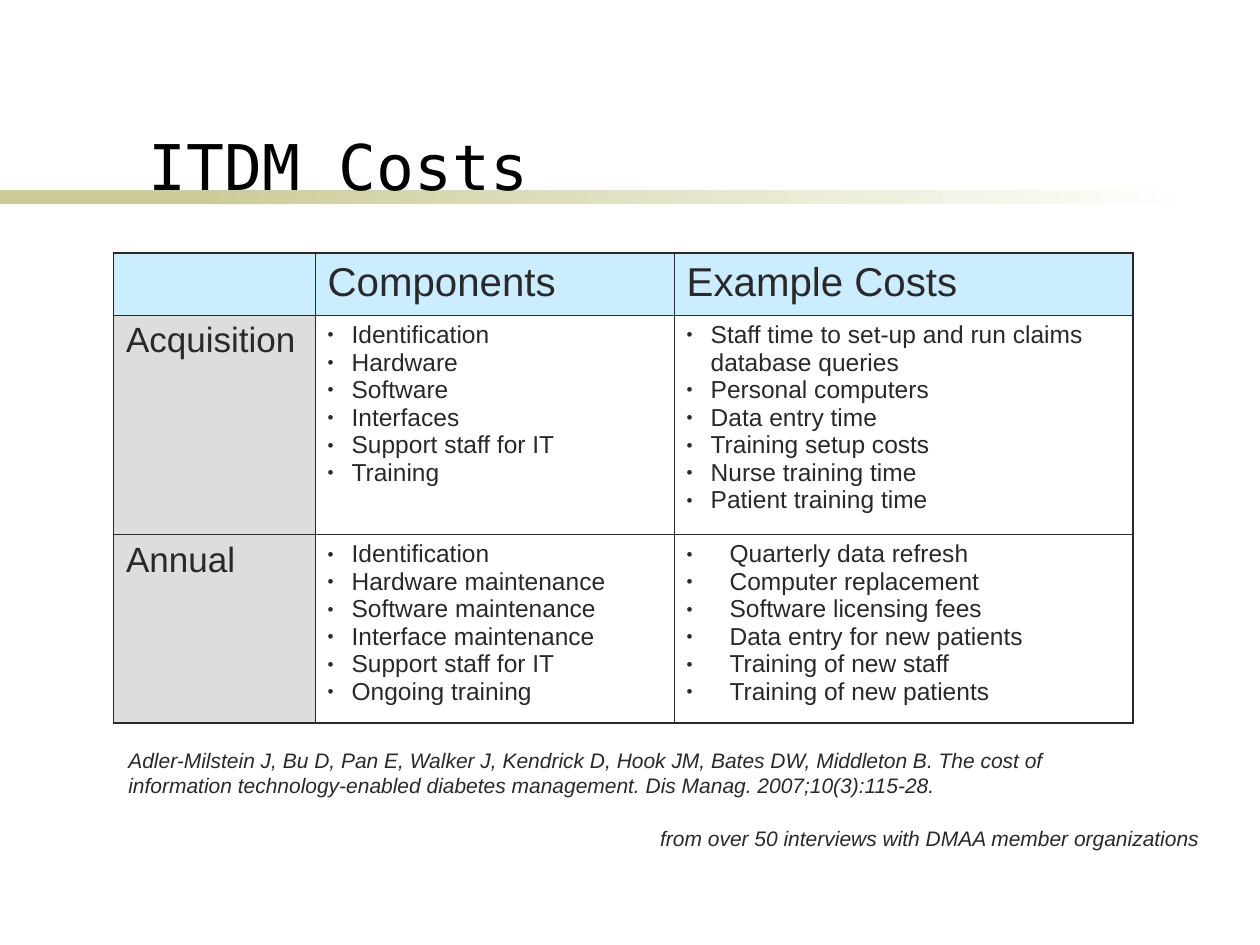
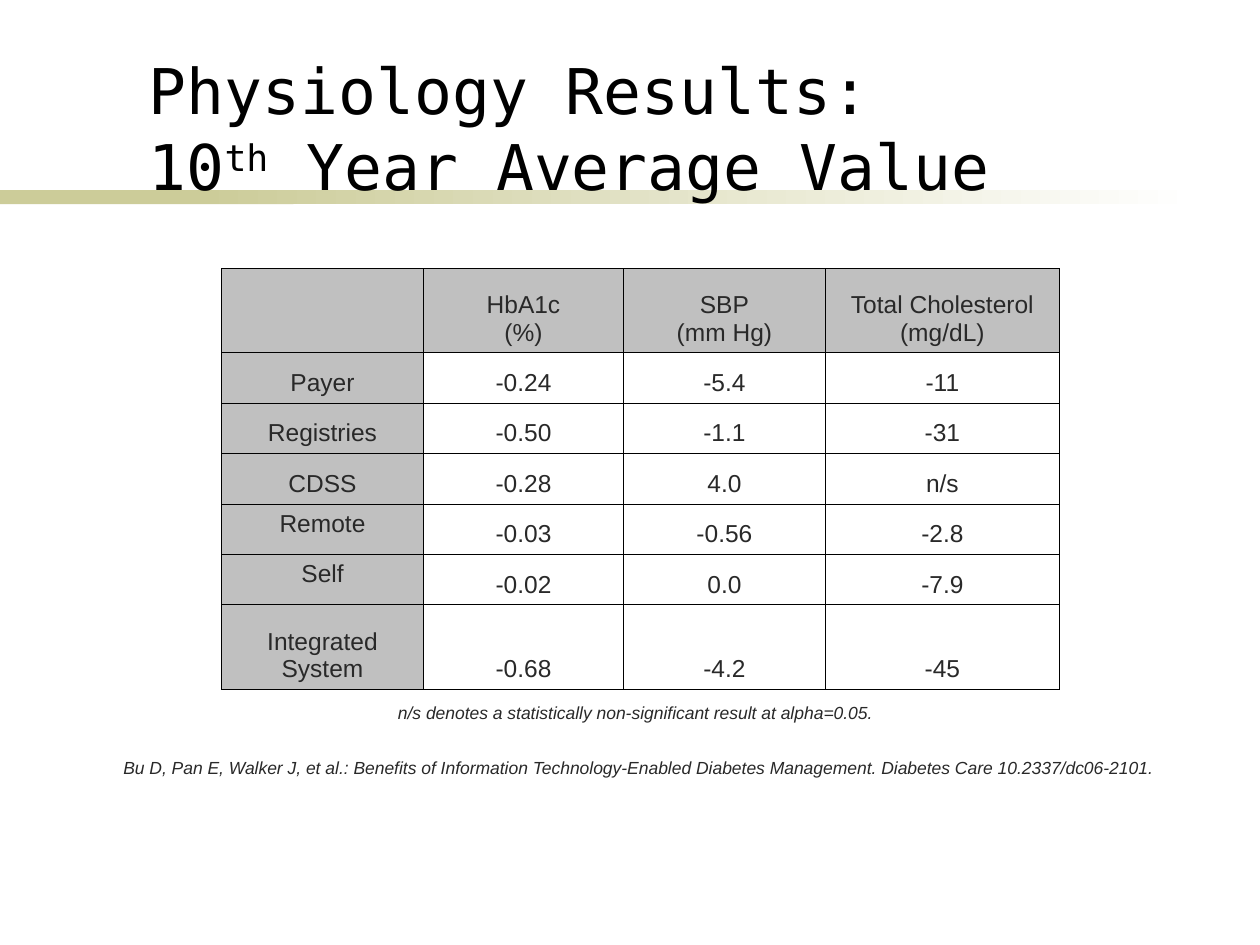
from lxml import etree
from pptx import Presentation
from pptx.dml.color import RGBColor
from pptx.enum import shapes, text
from pptx.oxml.ns import qn
from pptx.util import Inches, Pt

BLACK = RGBColor(0x00, 0x00, 0x00)
WHITE = RGBColor(0xFF, 0xFF, 0xFF)
INK = RGBColor(0x29, 0x29, 0x29)
OLIVE = RGBColor(0xCC, 0xCC, 0x99)
HEADER_BLUE = RGBColor(0xCC, 0xEC, 0xFF)
LABEL_GRAY = RGBColor(0xDD, 0xDD, 0xDD)
GRAY = RGBColor(0xC0, 0xC0, 0xC0)
BODY_FONT, TITLE_FONT = "Arial", "DejaVu Sans Mono"
LEFT, CENTER, RIGHT = text.PP_ALIGN.LEFT, text.PP_ALIGN.CENTER, text.PP_ALIGN.RIGHT
TOP, BOTTOM = text.MSO_ANCHOR.TOP, text.MSO_ANCHOR.BOTTOM
THIN, THICK = 0.45, 1.08

COST_HEADERS = ["", "Components", "Example Costs"]
COST_ROWS = [
    ("Acquisition",
     ["Identification", "Hardware", "Software", "Interfaces",
      "Support staff for IT", "Training"],
     ["Staff time to set-up and run claims database queries",
      "Personal computers", "Data entry time", "Training setup costs",
      "Nurse training time", "Patient training time"], 0.19),
    ("Annual",
     ["Identification", "Hardware maintenance", "Software maintenance",
      "Interface maintenance", "Support staff for IT", "Ongoing training"],
     ["Quarterly data refresh", "Computer replacement",
      "Software licensing fees", "Data entry for new patients",
      "Training of new staff", "Training of new patients"], 0.34),
]
RESULT_ROWS = [
    ["", "HbA1c\n(%)", "SBP\n(mm Hg)", "Total Cholesterol\n(mg/dL)"],
    ["Payer", "-0.24", "-5.4", "-11"],
    ["Registries", "-0.50", "-1.1", "-31"],
    ["CDSS", "-0.28", "4.0", "n/s"],
    ["Remote", "-0.03", "-0.56", "-2.8"],
    ["Self", "-0.02", "0.0", "-7.9"],
    ["Integrated System", "-0.68", "-4.2", "-45"],
]


def add_bullet(p, indent):
    """Hang a small bullet to the left of the paragraph."""
    pPr = p._p.get_or_add_pPr()
    pPr.set("marL", str(Inches(indent)))
    pPr.set("indent", str(-Inches(indent)))
    color = etree.SubElement(pPr, qn("a:buClr"))
    etree.SubElement(color, qn("a:srgbClr"), val=str(INK))
    etree.SubElement(pPr, qn("a:buSzPct"), val="70000")
    etree.SubElement(pPr, qn("a:buFont"), typeface=BODY_FONT)
    etree.SubElement(pPr, qn("a:buChar"), char="•")


def write(tf, paragraphs, size=14, font=BODY_FONT, color=INK, italic=False,
          align=LEFT, bullet_indent=None):
    """Fill a frame; a paragraph is a string or a list of runs.

    In a list, "\\n" breaks the line and "^" opens a superscript run.
    """
    for i, runs in enumerate(paragraphs):
        p = tf.paragraphs[0] if i == 0 else tf.add_paragraph()
        p.alignment = align
        if bullet_indent:
            add_bullet(p, bullet_indent)
        for piece in [runs] if isinstance(runs, str) else runs:
            if piece == "\n":
                p.add_line_break()
                etree.SubElement(p._p[-1], qn("a:rPr"), sz=str(size * 100))
                continue
            r = p.add_run()
            r.text = piece.lstrip("^")
            r.font.size, r.font.name = Pt(size), font
            r.font.italic = italic
            r.font.color.rgb = color
            if piece.startswith("^"):
                r._r.get_or_add_rPr().set("baseline", "30000")


def add_band(slide, layout, left, width, shape_id, fade=False):
    """Draw a title band and move it to the shared layout."""
    sp = slide.shapes.add_shape(shapes.MSO_SHAPE.RECTANGLE, Inches(left),
                                Inches(1.51), Inches(width), Inches(0.11))
    sp.shadow.inherit = False
    sp.line.fill.background()
    if fade:
        sp.fill.gradient()
        sp.fill.gradient_angle = 0
        for stop, position, color in zip(sp.fill.gradient_stops, (0, 1), (OLIVE, WHITE)):
            stop.position = position
            stop.color.rgb = color
    else:
        sp.fill.solid()
        sp.fill.fore_color.rgb = OLIVE
    sp.element.nvSpPr.cNvPr.set("id", str(shape_id))
    layout.shapes.element.append(sp.element)


def add_title(slide, runs):
    title = slide.shapes.title
    title.left, title.top = Inches(1.08), Inches(0.11)
    title.width, title.height = Inches(8.08), Inches(1.55)
    tf = title.text_frame
    tf.auto_size = text.MSO_AUTO_SIZE.NONE
    tf.vertical_anchor = BOTTOM
    write(tf, [runs], size=36, font=TITLE_FONT, color=BLACK)


def add_note(slide, left, top, width, height, note, size, align=LEFT):
    box = slide.shapes.add_textbox(Inches(left), Inches(top), Inches(width), Inches(height))
    tf = box.text_frame
    tf.word_wrap = True
    tf.auto_size = text.MSO_AUTO_SIZE.SHAPE_TO_FIT_TEXT
    write(tf, [note], size=size, italic=True, align=align)


def add_grid(slide, left, top, widths, heights, line_color, outer=THIN):
    """Add an unfilled table with thin inner and chosen outer borders."""
    frame = slide.shapes.add_table(len(heights), len(widths), Inches(left), Inches(top),
                                   Inches(sum(widths)), Inches(sum(heights)))
    table = frame.table
    table.first_row = table.horz_banding = False
    for column, width in zip(table.columns, widths):
        column.width = Inches(width)
    for row, height in zip(table.rows, heights):
        row.height = Inches(height)
    last_row, last_col = len(heights) - 1, len(widths) - 1
    for i, row in enumerate(table.rows):
        for j, cell in enumerate(row.cells):
            edges = {"L": j == 0, "R": j == last_col, "T": i == 0, "B": i == last_row}
            tcPr = cell._tc.get_or_add_tcPr()
            for side, is_outer in edges.items():
                width = Pt(outer if is_outer else THIN)
                ln = etree.SubElement(tcPr, qn(f"a:ln{side}"), w=str(width))
                fill = etree.SubElement(ln, qn("a:solidFill"))
                etree.SubElement(fill, qn("a:srgbClr"), val=str(line_color))
            cell.fill.background()
    return table


def set_cell(cell, paragraphs, fill=None, anchor=TOP, **fmt):
    cell.vertical_anchor = anchor
    if fill is not None:
        cell.fill.solid()
        cell.fill.fore_color.rgb = fill
    if any(paragraphs):
        write(cell.text_frame, paragraphs, **fmt)


def build_costs(slide):
    add_title(slide, "ITDM Costs")
    table = add_grid(slide, 0.9, 2.01, [1.6, 2.85, 3.64], [0.49, 1.74, 1.5], INK, outer=THICK)
    for j, header in enumerate(COST_HEADERS):
        set_cell(table.cell(0, j), [header], fill=HEADER_BLUE, size=23)
    for i, (label, components, examples, indent) in enumerate(COST_ROWS, start=1):
        set_cell(table.cell(i, 0), [label], fill=LABEL_GRAY, size=20)
        set_cell(table.cell(i, 1), components, bullet_indent=0.19)
        set_cell(table.cell(i, 2), examples, bullet_indent=indent)
    add_note(slide, 5.08, 6.5, 4.54, 0.3,
             "from over 50 interviews with DMAA member organizations", 12, RIGHT)
    add_note(slide, 0.92, 5.88, 8.09, 0.5,
             "Adler-Milstein J, Bu D, Pan E, Walker J, Kendrick D, Hook JM, Bates DW, "
             "Middleton B. The cost of information technology-enabled diabetes "
             "management. Dis Manag. 2007;10(3):115-28.", 12)


def build_results(slide):
    add_title(slide, ["Physiology Results:", "\n", "10", "^th", " Year Average Value"])
    table = add_grid(slide, 1.76, 2.13, [1.6, 1.59, 1.6, 1.86],
                     [0.67] + [0.4] * 5 + [0.67], BLACK)
    for i, row in enumerate(RESULT_ROWS):
        for j, value in enumerate(row):
            set_cell(table.cell(i, j), value.split("\n"), align=CENTER,
                     fill=GRAY if i == 0 or j == 0 else None,
                     anchor=TOP if value in ("Remote", "Self") else BOTTOM)
    add_note(slide, 0.88, 5.96, 8.41, 0.27,
             "Bu D, Pan E, Walker J, et al.: Benefits of Information Technology-Enabled "
             "Diabetes Management. Diabetes Care 10.2337/dc06-2101.", 10)
    add_note(slide, 3.06, 5.52, 4.02, 0.27,
             "n/s denotes a statistically non-significant result at alpha=0.05.", 10)


def main():
    prs = Presentation()
    prs.slide_width, prs.slide_height = Inches(10), Inches(7.5)
    layout = prs.slide_layouts[5]  # title only
    costs, results = (prs.slides.add_slide(layout) for _ in range(2))
    # Shared title band
    add_band(costs, layout, 0, 2.33, 20)
    add_band(costs, layout, 1.58, 7.92, 21, fade=True)
    # Slides
    build_costs(costs)
    build_results(results)
    prs.save("out.pptx")


if __name__ == "__main__":
    main()
